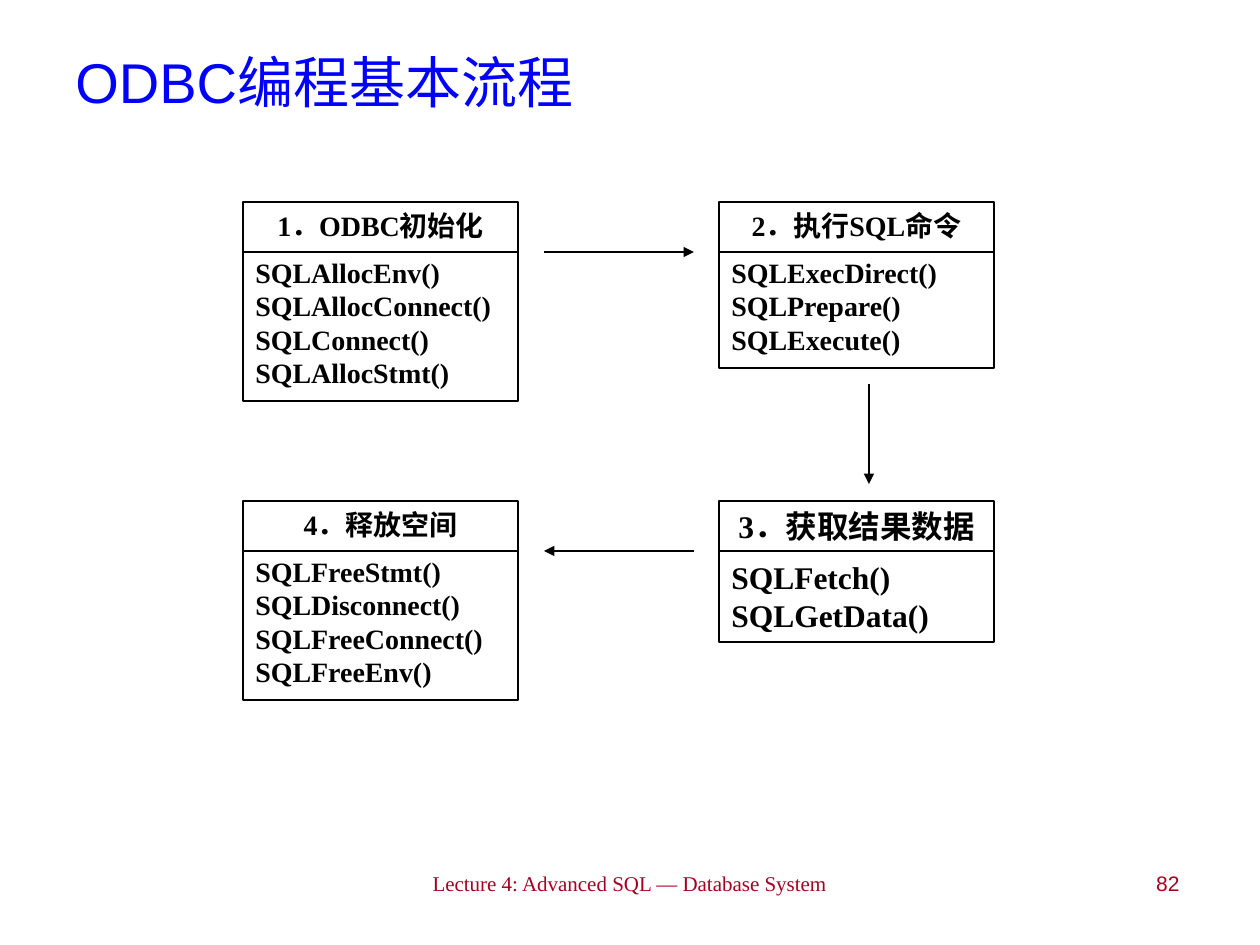
from lxml import etree
from pptx import Presentation
from pptx.dml.color import RGBColor
from pptx.enum.shapes import MSO_CONNECTOR, MSO_SHAPE
from pptx.enum.text import MSO_ANCHOR, PP_ALIGN
from pptx.oxml.ns import qn
from pptx.util import Emu, Pt

RECTANGLE = MSO_SHAPE.RECTANGLE
STRAIGHT = MSO_CONNECTOR.STRAIGHT
TOP, MIDDLE = MSO_ANCHOR.TOP, MSO_ANCHOR.MIDDLE
LEFT, CENTER, RIGHT = PP_ALIGN.LEFT, PP_ALIGN.CENTER, PP_ALIGN.RIGHT
JUSTIFY = PP_ALIGN.JUSTIFY

PX_PER_INCH = 126
SERIF, SANS = "Times New Roman", "Arial"
BLACK, WHITE, BLUE, CRIMSON = "000000", "FFFFFF", "0000FF", "A50021"

# Flow grid: two columns and two rows of step boxes
LEFT_COLUMN, RIGHT_COLUMN = 243, 719
TOP_ROW, BOTTOM_ROW = 202, 501
BOX_WIDTH = 275
TOP_RULE, BOTTOM_RULE = 252, 551

# left, top, height, rule, size, body alignment, heading, calls
STEPS = [
    (LEFT_COLUMN, TOP_ROW, 199, TOP_RULE, 16, LEFT, "1．ODBC初始化",
     ["SQLAllocEnv()", "SQLAllocConnect()", "SQLConnect()", "SQLAllocStmt()"]),
    (RIGHT_COLUMN, TOP_ROW, 166, TOP_RULE, 16, JUSTIFY, "2．执行SQL命令",
     ["SQLExecDirect()", "SQLPrepare()", "SQLExecute()"]),
    (RIGHT_COLUMN, BOTTOM_ROW, 141, BOTTOM_RULE, 18, JUSTIFY, "3．获取结果数据",
     ["SQLFetch()", "SQLGetData()"]),
    (LEFT_COLUMN, BOTTOM_ROW, 199, BOTTOM_RULE, 16, JUSTIFY, "4．释放空间",
     ["SQLFreeStmt()", "SQLDisconnect()", "SQLFreeConnect()", "SQLFreeEnv()"]),
]

ARROWS = [
    ((544, TOP_RULE), (694, TOP_RULE)),
    ((869, 384), (869, 484)),
    ((694, BOTTOM_RULE), (544, BOTTOM_RULE)),
]


def px(length):
    return Emu(round(length * 914400 / PX_PER_INCH))


def color(value):
    return RGBColor.from_string(value)


def add_paragraph(frame, text, *, size, font=SERIF, ink=BLACK, bold=False,
                  align=LEFT, before=0):
    """Write into the first empty paragraph, or append a new one."""
    para = frame.paragraphs[0]
    if para.runs:
        para = frame.add_paragraph()
    para.alignment = align
    para.space_before = Pt(before)
    span = para.add_run()
    span.text = text
    span.font.size = Pt(size)
    span.font.name = font
    span.font.bold = bold
    span.font.color.rgb = color(ink)


def add_label(slide, text, left, top, width, height, *, anchor=TOP, **style):
    box = slide.shapes.add_textbox(px(left), px(top), px(width), px(height))
    box.text_frame.word_wrap = True
    box.text_frame.vertical_anchor = anchor
    add_paragraph(box.text_frame, text, **style)


def add_line(slide, start, end, arrow=False):
    line = slide.shapes.add_connector(STRAIGHT, *map(px, start + end))
    line.line.color.rgb = color(BLACK)
    line.line.width = Pt(0.75)
    if arrow:
        outline = line.line._get_or_add_ln()
        etree.SubElement(outline, qn("a:tailEnd"), type="triangle")
    etree.SubElement(line._element.spPr, qn("a:effectLst"))


def add_step(slide, left, top, height, rule, size, align, heading, calls):
    box = slide.shapes.add_shape(
        RECTANGLE, px(left), px(top), px(BOX_WIDTH), px(height))
    box.shadow.inherit = False
    box.fill.solid()
    box.fill.fore_color.rgb = color(WHITE)
    box.line.color.rgb = color(BLACK)
    box.line.width = Pt(0.75)

    frame = box.text_frame
    frame.word_wrap = True
    frame.vertical_anchor = TOP
    add_paragraph(frame, heading, size=size, bold=True, align=CENTER)
    for index, call in enumerate(calls):
        add_paragraph(frame, call, size=size, bold=True, align=align,
                      before=7.7 if index == 0 else 0)

    # Rule between heading and calls
    add_line(slide, (left, rule), (left + BOX_WIDTH, rule))


def main():
    deck = Presentation()
    deck.slide_width, deck.slide_height = px(1260), px(945)
    page = deck.slides.add_slide(deck.slide_layouts[6])

    # Title
    add_label(page, "ODBC编程基本流程", 63, 3, 1134, 157, anchor=MIDDLE,
              size=32, font=SANS, ink=BLUE)

    # Flow
    for step in STEPS:
        add_step(page, *step)
    for start, end in ARROWS:
        add_line(page, start, end, arrow=True)

    # Footer and page number
    add_label(page, "Lecture 4: Advanced SQL — Database System ",
              291, 864, 683, 57, size=12, ink=CRIMSON, align=CENTER)
    add_label(page, "82", 1013, 864, 179, 55, size=12, font=SANS,
              ink=CRIMSON, align=RIGHT)

    deck.save("out.pptx")


if __name__ == "__main__":
    main()
